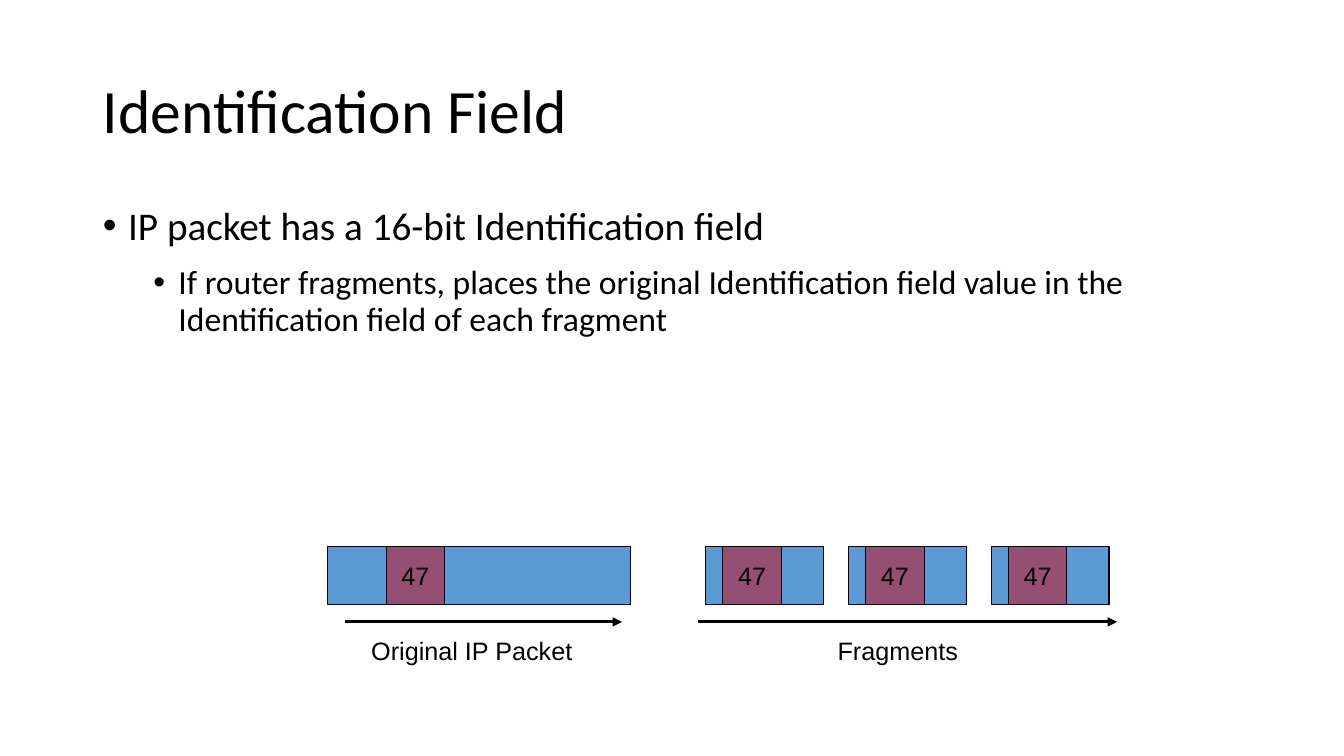
from lxml import etree
from pptx import Presentation
from pptx.dml.color import RGBColor
from pptx.enum.shapes import MSO_CONNECTOR, MSO_SHAPE
from pptx.enum.text import MSO_ANCHOR, MSO_AUTO_SIZE, PP_ALIGN
from pptx.oxml.ns import qn
from pptx.util import Inches, Pt

LEFT, CENTER = PP_ALIGN.LEFT, PP_ALIGN.CENTER
TOP, MIDDLE = MSO_ANCHOR.TOP, MSO_ANCHOR.MIDDLE
NO_AUTOFIT = MSO_AUTO_SIZE.NONE
RECTANGLE = MSO_SHAPE.RECTANGLE
STRAIGHT = MSO_CONNECTOR.STRAIGHT

BLACK, PACKET_BLUE, FIELD_PURPLE = "000000", "5B9BD5", "954F72"
HEIGHT = 0.58
FIELD_WIDTH = 0.58
FRAGMENT_WIDTH = 1.17
FRAGMENT_COUNT = 3


def rgb(color):
    return RGBColor.from_string(color)


def set_font(paragraph, name, size):
    font = paragraph.font
    font.name, font.size = name, Pt(size)
    font.color.rgb = rgb(BLACK)


def place(shape, left, top, width, height):
    shape.left, shape.top = Inches(left), Inches(top)
    shape.width, shape.height = Inches(width), Inches(height)


def add_title(slide, text, left, top, width, height):
    title = slide.shapes.title
    place(title, left, top, width, height)
    frame = title.text_frame
    frame.text = text
    frame.auto_size, frame.vertical_anchor = NO_AUTOFIT, MIDDLE
    heading = frame.paragraphs[0]
    heading.alignment, heading.line_spacing = LEFT, 0.9
    set_font(heading, "Calibri", 44)


def add_bullets(slide, bullets, left, top, width, height):
    """Fill the body with (text, level, size, space before) entries."""
    body = slide.placeholders[1]
    place(body, left, top, width, height)
    frame = body.text_frame
    frame.text = "\n".join(text for text, *_ in bullets)
    frame.auto_size, frame.vertical_anchor = NO_AUTOFIT, TOP
    for paragraph, (_, level, size, space) in zip(frame.paragraphs, bullets):
        paragraph.level = level
        paragraph.line_spacing, paragraph.space_before = 0.9, Pt(space)
        properties = paragraph._p.get_or_add_pPr()
        properties.set("marL", str(Inches(0.25 + 0.5 * level)))
        properties.set("indent", str(Inches(-0.25)))
        etree.SubElement(properties, qn("a:buFont"), typeface="Arial")
        etree.SubElement(properties, qn("a:buChar"), char="•")
        set_font(paragraph, "Calibri", size)


def add_block(slide, color, left, top, width):
    block = slide.shapes.add_shape(
        RECTANGLE, Inches(left), Inches(top), Inches(width), Inches(HEIGHT))
    block.shadow.inherit = False
    block.fill.solid()
    block.fill.fore_color.rgb = rgb(color)
    block.line.color.rgb = rgb(BLACK)
    block.line.width = Pt(0.75)
    return block


def add_packet(slide, left, top, width, field_offset):
    add_block(slide, PACKET_BLUE, left, top, width)
    field = add_block(slide, FIELD_PURPLE, left + field_offset, top, FIELD_WIDTH)
    frame = field.text_frame
    frame.text = "47"
    frame.word_wrap, frame.vertical_anchor = False, MIDDLE
    frame.paragraphs[0].alignment = CENTER
    set_font(frame.paragraphs[0], "Arial", 18)


def add_arrow(slide, start, end, y):
    arrow = slide.shapes.add_connector(
        STRAIGHT, Inches(start), Inches(y), Inches(end), Inches(y))
    arrow.line.color.rgb = rgb(BLACK)
    arrow.line.width = Pt(2.25)
    etree.SubElement(arrow.line._get_or_add_ln(), qn("a:tailEnd"), type="triangle")
    etree.SubElement(arrow._element.spPr, qn("a:effectLst"))


def add_caption(slide, text, left, top, width):
    caption = slide.shapes.add_textbox(
        Inches(left), Inches(top), Inches(width), Inches(0.4))
    frame = caption.text_frame
    frame.text = text
    frame.word_wrap = False
    frame.paragraphs[0].alignment = CENTER
    set_font(frame.paragraphs[0], "Arial", 18)


def add_original_packet(slide, left, top):
    add_packet(slide, left, top, 3, field_offset=0.58)
    add_arrow(slide, left + 0.17, left + 2.92, top + 0.75)
    add_caption(slide, "Original IP Packet", left + 0.32, top + 0.83, 2.22)


def add_fragments(slide, left, top, width):
    pitch = (width - FRAGMENT_WIDTH) / (FRAGMENT_COUNT - 1)
    for index in range(FRAGMENT_COUNT):
        add_packet(slide, left + index * pitch, top, FRAGMENT_WIDTH, field_offset=0.17)
    add_arrow(slide, left - 0.08, left + width + 0.08, top + 0.75)
    add_caption(slide, "Fragments", left + 1.2, top + 0.83, 1.41)


def main():
    presentation = Presentation()
    presentation.slide_width = Inches(13.33)
    presentation.slide_height = Inches(7.5)
    slide = presentation.slides.add_slide(presentation.slide_layouts[1])
    add_title(slide, "Identification Field", 0.92, 0.4, 11.5, 1.45)
    add_bullets(slide, [
        ("IP packet has a 16-bit Identification field", 0, 28, 10),
        ("If router fragments, places the original Identification field value "
         "in the Identification field of each fragment", 1, 24, 12),
    ], 0.92, 2, 11.5, 4.76)
    add_original_packet(slide, 3.25, 5.42)
    add_fragments(slide, 7, 5.42, 4)
    presentation.save("out.pptx")


if __name__ == "__main__":
    main()
